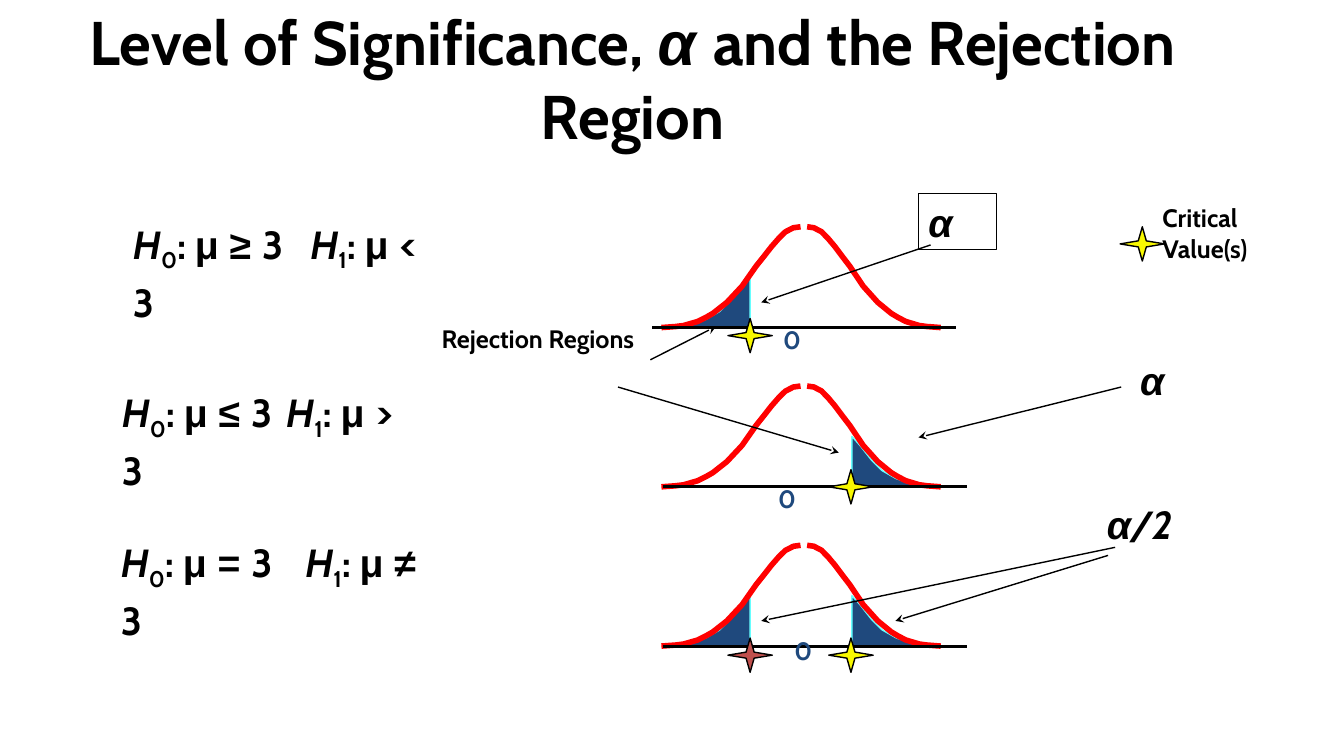
import dataclasses
import typing

import lxml.etree
import pptx
import pptx.dml.color
import pptx.enum.shapes
import pptx.enum.text
import pptx.oxml.ns
import pptx.util

HUES = {"ink": "000000", "navy": "1F497D", "aqua": "66FFFF", "red": "FF0000",
        "gold": "F8F800", "brick": "C0504D"}
BASES = (3.25, 4.83, 6.41)  # axis height of each curve, in inches
LEFT, RIGHT = 7.44, 8.44  # critical values

# Outlines: distance from the outer end, height above the axis
BELL = ((0, 0), (.14, .01), (.22, .02), (.29, .04), (.36, .06), (.44, .1),
        (.51, .14), (.65, .25), (.8, .41), (.94, .61), (1.02, .71), (1.09, .8),
        (1.16, .88), (1.23, .95), (1.31, .99), (1.38, 1))
TAIL = ((0, .01), (.22, .08), (.36, .16), (.47, .27), (.58, .41), (.66, .5),
        (.66, 0), (0, 0))
STAR = ((.22, 0), (.04, .03), (0, .17), (-.04, .03), (-.22, 0), (-.04, -.03),
        (0, -.17), (.04, -.03))
Points = typing.Sequence[tuple[float, float]]
ALIGN = pptx.enum.text.PP_ALIGN
ANCHOR = pptx.enum.text.MSO_ANCHOR


@dataclasses.dataclass
class Run:
    text: str
    name: str = "Cabin"
    italic: bool = False
    sub: bool = False


@dataclasses.dataclass
class Label:
    left: float
    top: float
    width: float
    height: float
    runs: list[Run]
    size: int = 18
    hue: str = "ink"
    align: typing.Any = ALIGN.LEFT
    anchor: typing.Any = ANCHOR.TOP
    boxed: bool = False
    tab: float = 0


@dataclasses.dataclass
class Line:
    start: tuple[float, float]
    end: tuple[float, float]
    width: float = 1
    arrow: bool = True


def cm(inch: float) -> int:
    return pptx.util.Cm(inch * 2.54)


def color(hue: str) -> typing.Any:
    return pptx.dml.color.RGBColor.from_string(HUES[hue])


def add_xml(parent: typing.Any, tag: str, **values: str) -> typing.Any:
    return lxml.etree.SubElement(parent, pptx.oxml.ns.qn(tag), values)


def set_line(line: typing.Any, hue: str, width: float) -> None:
    line.color.rgb = color(hue)
    line.width = pptx.util.Pt(width)


def draw_path(shapes: typing.Any, points: Points, fill: str | None,
              hue: str, width: float) -> None:
    spots = [(cm(x), cm(y)) for x, y in points]
    build = shapes.build_freeform(*spots[0], scale=1.0)
    build.add_line_segments(spots[1:], close=fill is not None)
    shape = build.convert_to_shape()
    shape.shadow.inherit = False
    if fill:
        shape.fill.solid()
        shape.fill.fore_color.rgb = color(fill)
    else:
        shape.fill.background()
    set_line(shape.line, hue, width)


def place(points: Points, x: float, y: float, scale: float = 1) -> Points:
    return [(x + dx * scale, y - dy) for dx, dy in points]


def draw_star(shapes: typing.Any, x: float, y: float, hue: str = "gold") -> None:
    draw_path(shapes, place(STAR, x, y), hue, "ink", 1)


def draw_line(shapes: typing.Any, item: Line) -> None:
    kind = pptx.enum.shapes.MSO_CONNECTOR.STRAIGHT
    link = shapes.add_connector(kind, *map(cm, item.start + item.end))
    set_line(link.line, "ink", item.width)
    if item.arrow:
        add_xml(link.line._get_or_add_ln(), "a:tailEnd", type="stealth")
    add_xml(link._element.spPr, "a:effectLst")


def draw_label(shapes: typing.Any, item: Label) -> None:
    area = [cm(n) for n in (item.left, item.top, item.width, item.height)]
    if item.boxed:
        shape = shapes.add_shape(pptx.enum.shapes.MSO_SHAPE.RECTANGLE, *area)
        shape.shadow.inherit = False
        shape.fill.background()
        set_line(shape.line, "ink", .75)
    else:
        shape = shapes.add_textbox(*area)
    frame = shape.text_frame
    style = {"word_wrap": True, "vertical_anchor": item.anchor,
             "auto_size": pptx.enum.text.MSO_AUTO_SIZE.SHAPE_TO_FIT_TEXT}
    for key, value in style.items():
        setattr(frame, key, value)
    para = frame.paragraphs[0]
    para.alignment = item.align
    if item.tab:
        para.line_spacing = 1.1
        stops = add_xml(para._p.get_or_add_pPr(), "a:tabLst")
        add_xml(stops, "a:tab", pos=str(cm(item.tab)), algn="l")
    for part in item.runs:
        if part.text == "\v":
            para.add_line_break()
            continue
        run = para.add_run()
        run.text = part.text
        font = {"name": part.name, "size": pptx.util.Pt(item.size),
                "bold": True, "italic": part.italic}
        for key, value in font.items():
            setattr(run.font, key, value)
        run.font.color.rgb = color(item.hue)
        if part.sub:
            run._r.get_or_add_rPr().set("baseline", "-25000")


def claim(left: float, top: float, width: float, sign: str, other: str,
          tab: float) -> Label:
    def head(digit: str) -> list[Run]:
        return [Run("H", italic=True), Run(digit, sub=True), Run(": ")]

    runs = [*head("0"), Run(f"μ {sign} ", "Arial"), Run("3\t"), *head("1"),
            Run("μ ", "Arial"), Run(other, "Arial" if other == "≠" else "Cabin"),
            Run("\v"), Run("3")]
    return Label(left, top, width, .62, runs, 28, tab=tab)


ALPHA = Run("α", "Arial", True)
TITLE = Label(.36, -.01, 11.83, 1.58,
              [Run("Level of Significance, "), Run("α ", "Arial", True),
               Run("and the Rejection Region")], 44, align=ALIGN.CENTER)
LABELS = [
    claim(1.22, 2.08, 3.23, "≥", "<", 1.76),
    claim(1.11, 3.75, 3.12, "≤", ">", 1.63),
    claim(1.1, 5.24, 3.3, "=", "≠", 1.83),
    *(Label(x, y, .9, .4, [Run("0")], hue="navy")
      for x, y in ((7.67, 3.17), (7.62, 4.75), (7.78, 6.25))),
    Label(9.11, 1.92, .77, .56, [ALPHA], 28, boxed=True),
    Label(11.21, 3.49, 1.02, .56, [ALPHA], 28),
    Label(10.88, 4.91, 1.24, .56, [ALPHA, Run("/2", italic=True)], 28),
    Label(11.43, 1.5, 1.9, 1.16, [Run("Critical"), Run("\v"), Run("Value(s)")],
          anchor=ANCHOR.BOTTOM),
    Label(3.66, 3.16, 3.35, .4, [Run("Rejection Regions")], align=ALIGN.CENTER),
]
AXES = [Line((x, y), (x + 3.01, y), 2, False)
        for x, y in zip((6.47, 6.58, 6.58), BASES)]
ARROWS = [
    Line((9.23, 2.43), (7.55, 3)), Line((11.12, 3.84), (9.11, 4.34)),
    Line((10.99, 5.51), (8.88, 6.16)), Line((11.06, 5.43), (7.55, 6.16)),
    Line((6.45, 3.57), (7.1, 3.24)), Line((6.13, 3.84), (8.32, 4.49)),
]


def main() -> None:
    deck = pptx.Presentation()
    deck.slide_width, deck.slide_height = cm(13.33), cm(7.5)
    shapes = deck.slides.add_slide(deck.slide_layouts[6]).shapes

    # Shaded rejection regions
    for row, side in ((0, 1), (1, -1), (2, -1), (2, 1)):
        outer = 6.78 if side > 0 else 9.11
        draw_path(shapes, place(TAIL, outer, BASES[row], side), "navy", "aqua", 1)
    draw_label(shapes, TITLE)

    # Bell curves, one half at a time
    for base in BASES:
        for outer, scale in ((6.56, 1), (9.33, -.96)):
            draw_path(shapes, place(BELL, outer, base, scale), None, "red", 4)

    # Axes, labels and arrows
    for axis in AXES:
        draw_line(shapes, axis)
    for label in LABELS:
        draw_label(shapes, label)
    for arrow in ARROWS:
        draw_line(shapes, arrow)

    # Critical values and their key
    draw_star(shapes, LEFT, 6.5, "brick")
    for x, y in ((RIGHT, 4.83), (LEFT, 3.33), (RIGHT, 6.5), (11.33, 2.42)):
        draw_star(shapes, x, y)
    deck.save("out.pptx")


if __name__ == "__main__":
    main()
